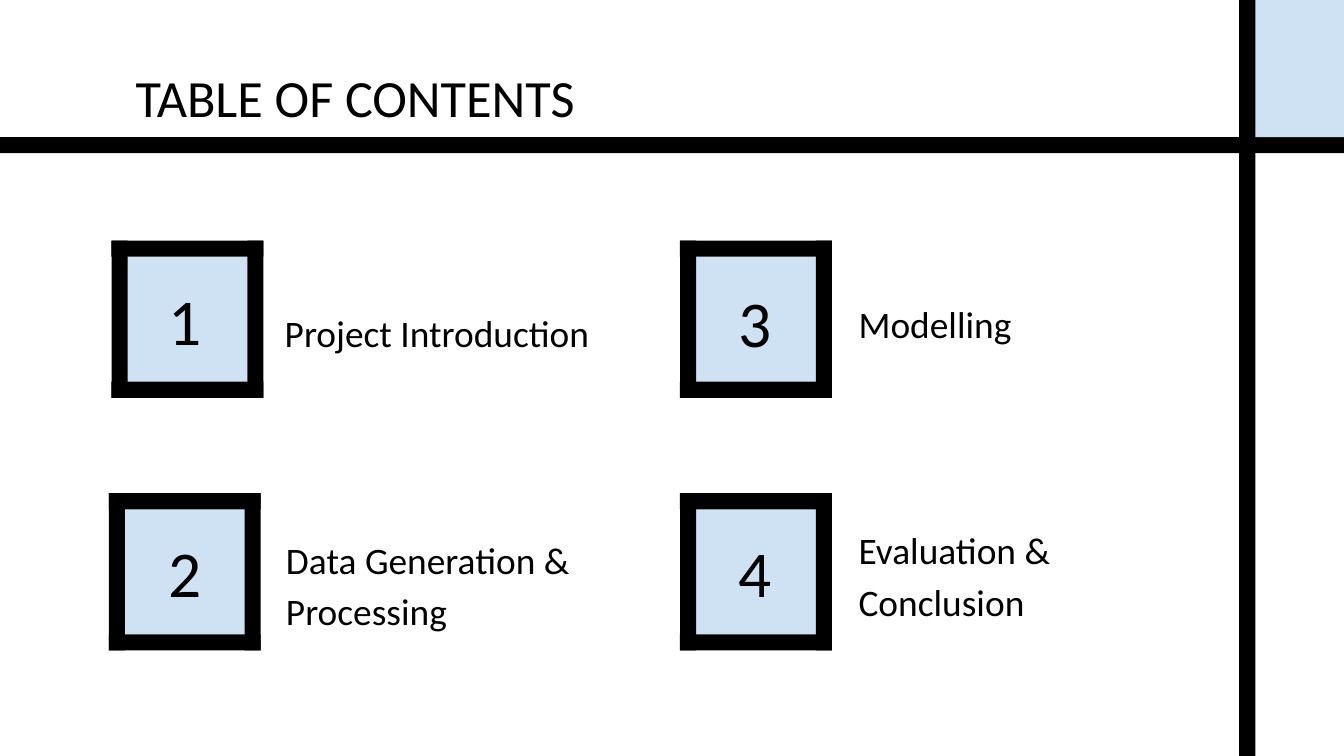
from pptx import Presentation
from pptx.dml.color import RGBColor
from pptx.enum.shapes import MSO_SHAPE
from pptx.enum.text import MSO_ANCHOR, PP_ALIGN
from pptx.util import Inches, Pt

BLACK = RGBColor(0x00, 0x00, 0x00)
PALE_BLUE = RGBColor(0xCF, 0xE2, 0xF3)
FONT = "Calibri"
SLIDE_W = 10
SLIDE_H = SLIDE_W * 9 / 16
BAR = 0.12
TILE = 0.93
FRAME_W, FRAME_H = 1.13, 1.17
COLUMNS = (0.91, 5.15)
ROWS = (1.91, 3.79)

# number, label, column, row, frame left, number top, label box (left, top, width)
ENTRIES = [
    ("1", "Project Introduction", 0, 0, 0.83, 1.91, (2.02, 2.15, 3.38)),
    ("2", "Data Generation & Processing", 0, 1, 0.81, 3.79, (2.03, 4.03, 2.83)),
    ("3", "Modelling", 1, 0, 5.06, 1.93, (6.29, 2.08, 2.83)),
    ("4", "Evaluation & Conclusion", 1, 1, 5.06, 3.79, (6.29, 3.96, 2.83)),
]


def add_block(shapes, left, top, width, height, color):
    block = shapes.add_shape(MSO_SHAPE.RECTANGLE, Inches(left), Inches(top),
                             Inches(width), Inches(height))
    block.shadow.inherit = False
    block.fill.solid()
    block.fill.fore_color.rgb = color
    block.line.fill.background()


def add_text(slide, text, left, top, width, height, size, align=PP_ALIGN.LEFT):
    """Add a one-paragraph, vertically centred text box and return the paragraph."""
    frame = slide.shapes.add_textbox(Inches(left), Inches(top),
                                     Inches(width), Inches(height)).text_frame
    frame.word_wrap = True
    frame.vertical_anchor = MSO_ANCHOR.MIDDLE
    frame.margin_left = frame.margin_right = Inches(0.1)
    frame.margin_top = frame.margin_bottom = Inches(0.1)
    paragraph = frame.paragraphs[0]
    paragraph.alignment = align
    run = paragraph.add_run()
    run.text = text
    run.font.name = FONT
    run.font.size = Pt(size)
    run.font.color.rgb = BLACK
    return paragraph


def add_crossing_bars(slide, cross_left, cross_top):
    add_block(slide.shapes, 0, cross_top, SLIDE_W, BAR, BLACK)
    add_block(slide.shapes, cross_left, 0, SLIDE_W - cross_left, cross_top, PALE_BLUE)
    add_block(slide.shapes, cross_left, 0, BAR, SLIDE_H, BLACK)


def add_number_frame(slide, left, top):
    """Group four bars into a square border."""
    bars = slide.shapes.add_group_shape().shapes
    for bar_left in (left, left + FRAME_W - BAR):
        add_block(bars, bar_left, top, BAR, FRAME_H, BLACK)
    for bar_top in (top, top + FRAME_H - BAR):
        add_block(bars, left, bar_top, FRAME_W, BAR, BLACK)


def add_entry(slide, number, label, column, row, frame_left, number_top, label_box):
    left, top = COLUMNS[column], ROWS[row]
    add_block(slide.shapes, left, top, TILE, TILE, PALE_BLUE)
    label_left, label_top, label_width = label_box
    paragraph = add_text(slide, label, label_left, label_top, label_width, 0.6, 20)
    paragraph.line_spacing = 1.15
    paragraph.space_after = Pt(12)
    add_text(slide, number, left + 0.04, number_top, TILE - 0.08, TILE, 35,
             PP_ALIGN.CENTER)
    add_number_frame(slide, frame_left, top - BAR)


def main():
    prs = Presentation()
    prs.slide_width, prs.slide_height = Inches(SLIDE_W), Inches(SLIDE_H)
    slide = prs.slides.add_slide(prs.slide_layouts[6])
    add_crossing_bars(slide, 9.22, 1.02)
    for entry in ENTRIES:
        add_entry(slide, *entry)
    add_text(slide, "TABLE OF CONTENTS", 0.91, 0.59, 8.31, 0.26, 28)
    prs.save("out.pptx")


if __name__ == "__main__":
    main()
